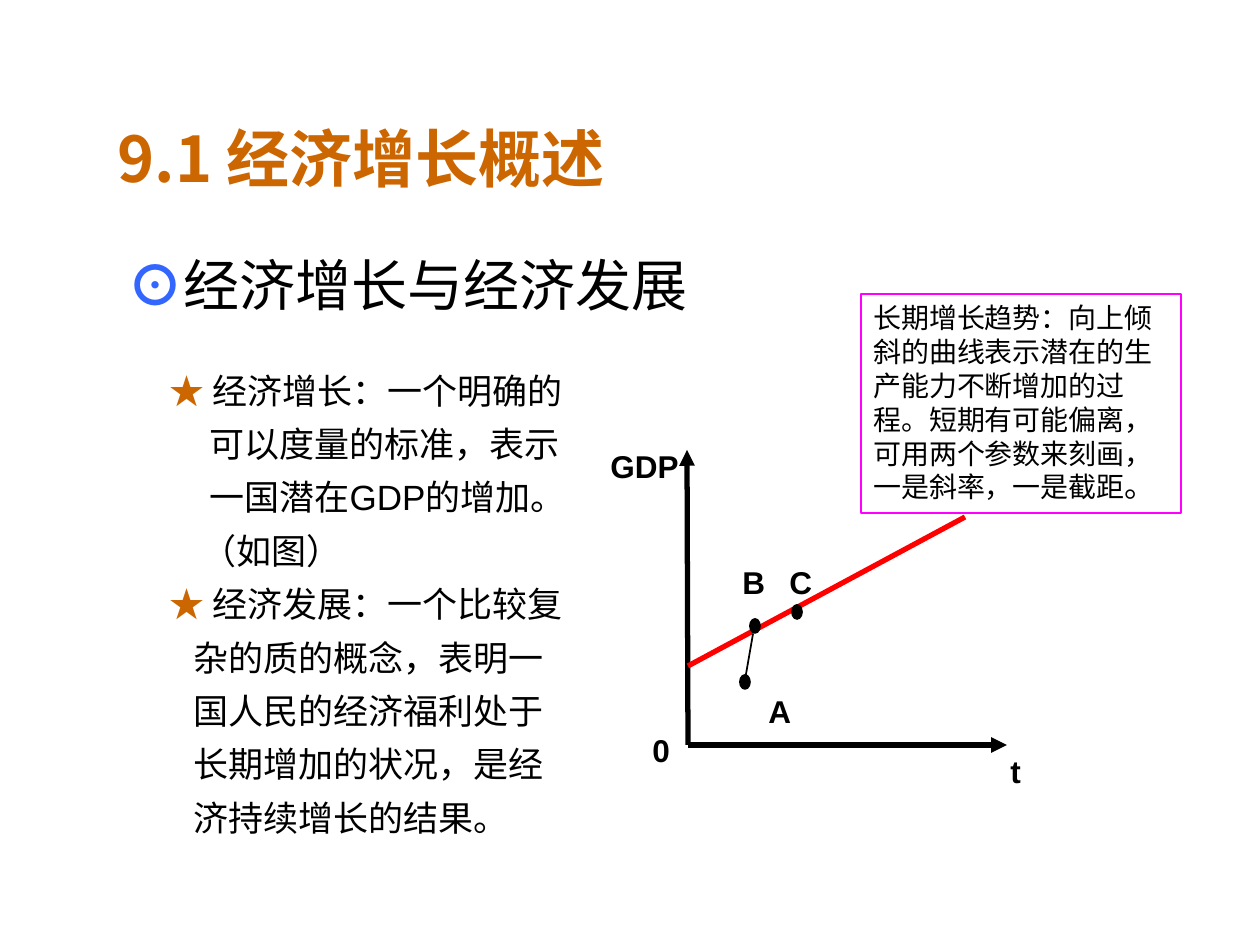
from lxml import etree
from pptx import Presentation
from pptx.dml.color import RGBColor
from pptx.enum.shapes import MSO_CONNECTOR, MSO_SHAPE
from pptx.enum.text import MSO_ANCHOR, PP_ALIGN
from pptx.oxml.ns import qn
from pptx.util import Pt

PX = 914400 / 126
BLACK = RGBColor(0x00, 0x00, 0x00)
WHITE = RGBColor(0xFF, 0xFF, 0xFF)
ORANGE = RGBColor(0xCC, 0x66, 0x00)
BLUE = RGBColor(0x33, 0x66, 0xFF)
RED = RGBColor(0xFF, 0x00, 0x00)
MAGENTA = RGBColor(0xFF, 0x00, 0xFF)
CJK = "Noto Sans CJK SC"


def emu(*lengths):
    return [round(length * PX) for length in lengths]


def add_run(paragraph, text, color, **font_format):
    paragraph._p.get_or_add_pPr().set("hangingPunct", "0")
    run = paragraph.add_run()
    run.text = text
    for attribute, value in font_format.items():
        setattr(run.font, attribute, value)
    run.font.color.rgb = color
    etree.SubElement(run.font._element, qn("a:ea"), typeface=CJK)


presentation = Presentation()
presentation.slide_width, presentation.slide_height = emu(1260, 945)
slide = presentation.slides.add_slide(presentation.slide_layouts[6])
shapes = slide.shapes

title = shapes.add_textbox(*emu(105, 105, 977, 105)).text_frame
title.word_wrap = True
title.vertical_anchor = MSO_ANCHOR.MIDDLE
add_run(title.paragraphs[0], "9.1 经济增长概述", ORANGE, size=Pt(36), name=CJK, bold=True)

heading = shapes.add_textbox(*emu(115, 252, 1040, 73)).text_frame
heading.word_wrap = True
heading_line = heading.paragraphs[0]
heading_line.line_spacing = Pt(34)
add_run(heading_line, "⊙", BLUE, size=Pt(32), name=CJK, bold=True)
add_run(heading_line, "经济增长与经济发展", BLACK, size=Pt(32), name="Arial")

definitions = shapes.add_textbox(*emu(94, 367, 493, 476)).text_frame
definitions.word_wrap = True
definition_lines = [
    ("★ ", "经济增长：一个明确的", 0),
    ("", "可以度量的标准，表示", 40),
    ("", "一国潜在GDP的增加。", 40),
    ("", "（如图）", 32),
    ("★ ", "经济发展：一个比较复", 0),
    ("", "杂的质的概念，表明一", 24),
    ("", "国人民的经济福利处于", 24),
    ("", "长期增加的状况，是经", 24),
    ("", "济持续增长的结果。", 24),
]
for index, (star, wording, indent) in enumerate(definition_lines):
    line = definitions.add_paragraph() if index else definitions.paragraphs[0]
    margin, first_indent = emu(63, indent)
    properties = line._p.get_or_add_pPr()
    properties.set("marL", str(margin))
    properties.set("indent", str(first_indent))
    line.line_spacing = Pt(21.7)
    if index:
        line.space_before = Pt(8.8)
    if star:
        add_run(line, star, ORANGE, size=Pt(20), name=CJK)
    add_run(line, wording, BLACK, size=Pt(20), name="Arial")

graph_lines = [
    ((688, 745, 1007, 745), BLACK, 3, True),
    ((688, 745, 687, 450), BLACK, 3, True),
    ((688, 666, 965, 517), RED, 3, False),
    ((745, 680, 753, 634), BLACK, 1, False),
]
for ends, color, width, has_arrow in graph_lines:
    graph_line = shapes.add_connector(MSO_CONNECTOR.STRAIGHT, *emu(*ends))
    graph_line.line.color.rgb = color
    graph_line.line.width = Pt(width)
    if has_arrow:
        etree.SubElement(graph_line.line._get_or_add_ln(), qn("a:tailEnd"), type="triangle")
    etree.SubElement(graph_line._element.spPr, qn("a:effectLst"))

trend_note = shapes.add_shape(MSO_SHAPE.RECTANGLE, *emu(861, 294, 320, 219))
trend_note.shadow.inherit = False
trend_note.fill.solid()
trend_note.fill.fore_color.rgb = WHITE
note_color = trend_note._element.spPr.find(qn("a:solidFill"))[0]
etree.SubElement(note_color, qn("a:alpha"), val="50000")
trend_note.line.color.rgb = MAGENTA
trend_note.line.width = Pt(1)
note_text = trend_note.text_frame
note_text.word_wrap = True
note_text.vertical_anchor = MSO_ANCHOR.TOP
note_line = note_text.paragraphs[0]
note_line.alignment = PP_ALIGN.LEFT
note_line.line_spacing = Pt(19.4)
add_run(
    note_line,
    "长期增长趋势：向上倾斜的曲线表示潜在的生产能力不断增加的过程。"
    "短期有可能偏离，可用两个参数来刻画，一是斜率，一是截距",
    BLACK, size=Pt(16), name="Times New Roman",
)
add_run(note_line, "。", BLACK, size=Pt(18), name="Times New Roman")

for left, top in [(750, 619), (740, 675), (792, 605)]:
    point = shapes.add_shape(MSO_SHAPE.OVAL, *emu(left, top, 10, 14))
    point.shadow.inherit = False
    point.fill.solid()
    point.fill.fore_color.rgb = BLACK
    point.line.color.rgb = BLACK
    point.line.width = Pt(1)

graph_labels = [
    ("GDP", 598, 441, 102),
    ("A", 756, 686, 58),
    ("B", 730, 557, 58),
    ("C", 777, 557, 53),
    ("t", 998, 746, 53),
    ("0", 640, 725, 63),
]
for wording, left, top, width in graph_labels:
    label = shapes.add_textbox(*emu(left, top, width, 50)).text_frame
    label.word_wrap = True
    add_run(label.paragraphs[0], wording, BLACK, size=Pt(18), name="Arial", bold=True)

presentation.save("out.pptx")
